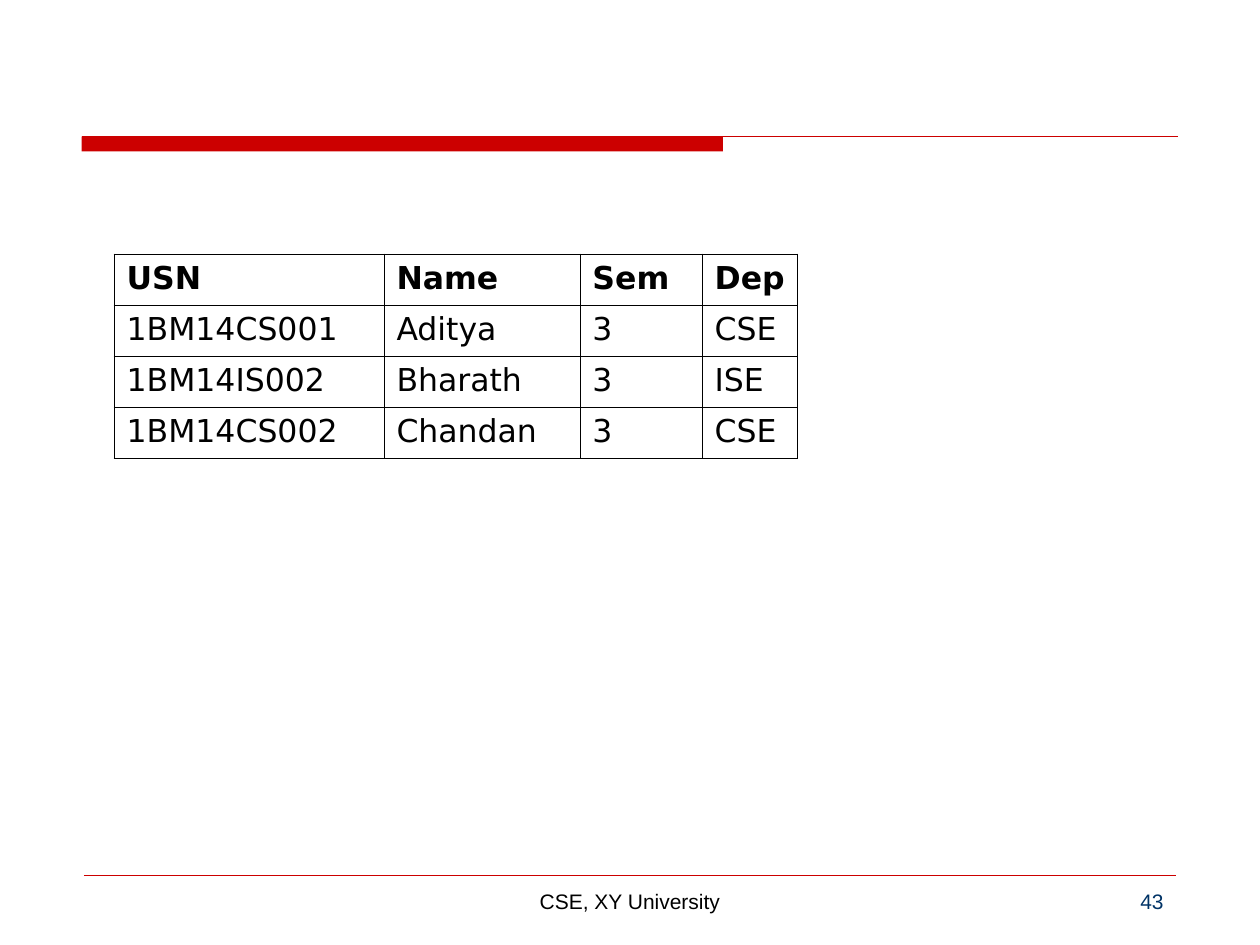
from dataclasses import dataclass

from lxml import etree
from pptx import Presentation
from pptx import util as u
from pptx.dml.color import RGBColor
from pptx.enum import shapes, text
from pptx.oxml import ns


@dataclass(frozen=True)
class Theme:
    accent: str = "CC0000"
    ink: str = "000000"
    number: str = "003366"
    table_font: str = "DejaVu Sans"
    footer_font: str = "Arial"
    table_size: float = 18
    footer_size: float = 12
    border: float = 0.45


THEME = Theme()
STUDENTS = [
    ("USN", "Name", "Sem", "Dep"),
    ("1BM14CS001", "Aditya", "3", "CSE"),
    ("1BM14IS002", "Bharath", "3", "ISE"),
    ("1BM14CS002", "Chandan", "3", "CSE"),
]
COLUMN_SHARES = (154.2, 112, 69.8, 54.6)
CELL_RIGHT_MARGIN = 5


def style_text(frame, font, size, colour, bold=False, align=None):
    for para in frame.paragraphs:
        para.alignment = align
        for span in para.runs:
            span.font.name = font
            span.font.size = u.Pt(size)
            span.font.bold = bold
            span.font.color.rgb = RGBColor.from_string(colour)


def add_rule(page, left, top, width, weight):
    rule = page.shapes.add_connector(
        shapes.MSO_CONNECTOR.STRAIGHT,
        u.Pt(left), u.Pt(top), u.Pt(left + width), u.Pt(top))
    rule.line.color.rgb = RGBColor.from_string(THEME.accent)
    rule.line.width = u.Pt(weight)
    properties = rule._element.spPr
    etree.SubElement(properties, ns.qn("a:effectLst"))


def add_header(page, left, top, width, height):
    """Thick bar over part of the width, thin rule over all of it."""
    bar = page.shapes.add_shape(
        shapes.MSO_SHAPE.RECTANGLE,
        u.Pt(left), u.Pt(top), u.Pt(width * 0.585), u.Pt(height))
    bar.shadow.inherit = False
    bar.fill.solid()
    bar.fill.fore_color.rgb = RGBColor.from_string(THEME.accent)
    bar.line.fill.background()
    add_rule(page, left, top, width, 0.75)


def add_borders(cell):
    properties = cell._tc.get_or_add_tcPr()
    for position, side in enumerate(("lnL", "lnR", "lnT", "lnB")):
        line = etree.Element(ns.qn(f"a:{side}"), w=str(u.Pt(THEME.border)))
        fill = etree.SubElement(line, ns.qn("a:solidFill"))
        etree.SubElement(fill, ns.qn("a:srgbClr"), val=THEME.ink)
        properties.insert(position, line)


def add_student_table(page, left, top, width, height):
    frame = page.shapes.add_table(
        len(STUDENTS), len(COLUMN_SHARES),
        u.Pt(left), u.Pt(top), u.Pt(width), u.Pt(height))
    table = frame.table
    table.horz_banding = False
    for column, share in zip(table.columns, COLUMN_SHARES):
        column.width = u.Pt(width * share / sum(COLUMN_SHARES))
    for row_index, record in enumerate(STUDENTS):
        table.rows[row_index].height = u.Pt(height / len(STUDENTS))
        for column_index, value in enumerate(record):
            cell = table.cell(row_index, column_index)
            cell.margin_right = u.Pt(CELL_RIGHT_MARGIN)
            cell.text_frame.text = value
            style_text(cell.text_frame, THEME.table_font, THEME.table_size,
                       THEME.ink, bold=row_index == 0)
            cell.fill.background()
            add_borders(cell)


def add_footer(page, left, top, width, height):
    """Thin rule with a centred label and a page number at the right."""
    add_rule(page, left, top, width, 0.25)
    labels = (
        ("CSE, XY University", left + 198, 228, THEME.ink, text.PP_ALIGN.CENTER),
        ("43", left + width - 156, 156, THEME.number, text.PP_ALIGN.RIGHT),
    )
    label_height = 25.2
    for wording, label_left, label_width, colour, align in labels:
        box = page.shapes.add_textbox(
            u.Pt(label_left), u.Pt(top + height - label_height),
            u.Pt(label_width), u.Pt(label_height))
        box.text_frame.word_wrap = True
        box.text_frame.text = wording
        style_text(box.text_frame, THEME.footer_font, THEME.footer_size,
                   colour, align=align)


def main():
    deck = Presentation()
    deck.slide_width, deck.slide_height = u.Pt(720), u.Pt(540)
    page = deck.slides.add_slide(deck.slide_layouts[6])  # blank: no title
    add_header(page, 46.6, 78, 626.6, 8.6)
    add_footer(page, 48, 500.2, 624, 29)
    add_student_table(page, 65.2, 145.2, 390.6, 116.6)
    deck.save("out.pptx")


if __name__ == "__main__":
    main()
